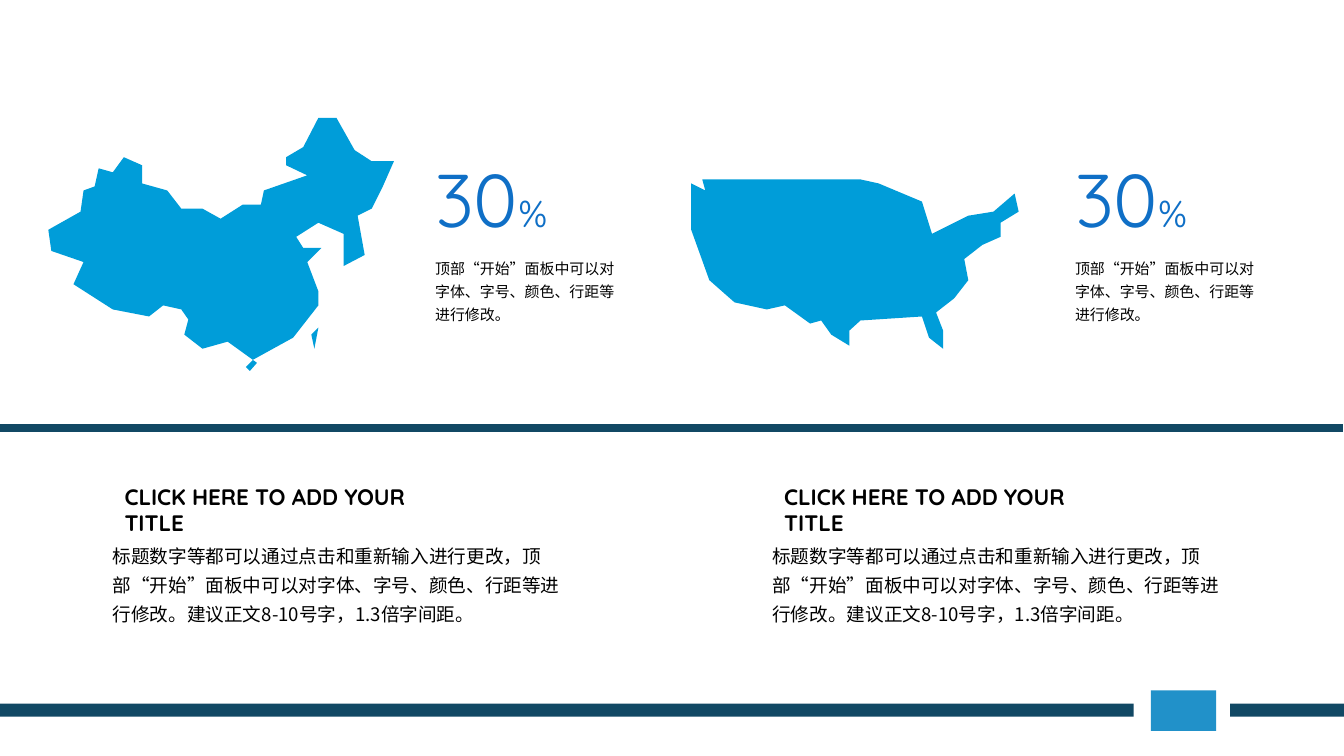
from lxml import etree
from pptx import Presentation
from pptx.dml.color import RGBColor
from pptx.enum.shapes import MSO_CONNECTOR, MSO_SHAPE
from pptx.enum.text import MSO_ANCHOR, MSO_AUTO_SIZE, PP_ALIGN
from pptx.oxml.ns import qn
from pptx.util import Cm, Pt

RECT = MSO_SHAPE.RECTANGLE
LINE = MSO_CONNECTOR.STRAIGHT
TOP = MSO_ANCHOR.TOP
LEFT = PP_ALIGN.LEFT
GROW = MSO_AUTO_SIZE.SHAPE_TO_FIT_TEXT

NAVY, BLUE, SKY, INK = "114864", "2191C9", "009DD9", "000000"
CJK, SANS = "Noto Sans CJK SC", "Quicksand"
NOTE = "顶部“开始”面板中可以对字体、字号、颜色、行距等进行修改。"
BODY = ("标题数字等都可以通过点击和重新输入进行更改，顶部“开始”面板中可以对"
        "字体、字号、颜色、行距等进行修改。建议正文8-10号字，1.3倍字间距。")

# Map outlines, in hundredths of an inch on the slide
UNIT = Cm(2.54) / 100
HAINAN = [(244, 364), (251, 357), (255, 360), (248, 368)]
TAIWAN = [(309, 332), (316, 325), (312, 346)]
MAIN = [
    (380, 185), (391, 160), (369, 160), (352, 149), (334, 117), (316, 117),
    (301, 146), (284, 156), (284, 164), (305, 174), (262, 189), (259, 203),
    (241, 203), (219, 217), (201, 207), (180, 207), (166, 189), (141, 182),
    (141, 164), (123, 156), (112, 171), (98, 167), (94, 185), (83, 189),
    (80, 210), (48, 228), (51, 249), (83, 260), (73, 282), (112, 307),
    (148, 314), (162, 303), (180, 307), (187, 317), (183, 332), (201, 346),
    (226, 339), (251, 357), (291, 335), (316, 303), (316, 289), (305, 260),
    (319, 246), (301, 246), (294, 235), (316, 221), (341, 232), (341, 264),
    (362, 253), (355, 214), (369, 207)]
STATES = [
    (761, 307), (779, 303), (804, 321), (815, 318), (825, 332), (843, 343),
    (843, 328), (854, 318), (915, 314), (922, 335), (936, 346), (936, 328),
    (929, 310), (947, 296), (961, 278), (957, 257), (975, 243), (993, 235),
    (993, 221), (1011, 210), (1007, 192), (986, 210), (961, 214), (925, 232),
    (915, 200), (872, 182), (854, 178), (697, 178), (700, 189), (686, 182),
    (686, 228), (704, 278), (729, 300)]


def paint(shape, color):
    """Give the shape a plain fill without outline or shadow."""
    shape.shadow.inherit = False
    shape.fill.solid()
    shape.fill.fore_color.rgb = RGBColor.from_string(color)
    shape.line.fill.background()


def write(shape, runs, color, font, space=None, bold=False):
    """Fill the shape with one paragraph of (text, size) runs."""
    frame = shape.text_frame
    frame.word_wrap = True
    frame.auto_size = GROW
    frame.vertical_anchor = TOP
    para = frame.paragraphs[0]
    para.alignment = LEFT
    para.line_spacing = space
    for text, size in runs:
        run = para.add_run()
        run.text = text
        run.font.size = Pt(size)
        run.font.bold = bold
        run.font.name = font
        run.font.color.rgb = RGBColor.from_string(color)
        east = etree.SubElement(run.font._element, qn("a:ea"))
        east.set("typeface", font)


deck = Presentation()
deck.slide_width, deck.slide_height = Cm(33.88), Cm(19.05)
slide = deck.slides.add_slide(deck.slide_layouts[6])
shapes = slide.shapes

# Footer
for x, y, wide, high, color in [(0, 17.73, 28.58, 0.33, NAVY),
                                (31.01, 17.73, 2.87, 0.33, NAVY),
                                (29.01, 17.4, 1.65, 1.02, BLUE)]:
    bar = shapes.add_shape(RECT, Cm(x), Cm(y), Cm(wide), Cm(high))
    paint(bar, color)

# Maps
china = shapes.add_group_shape().shapes
for home, points in [(china, HAINAN), (china, TAIWAN), (china, MAIN),
                     (shapes, STATES)]:
    pen = home.build_freeform(*points[0], scale=UNIT)
    pen.add_line_segments(points[1:], close=True)
    paint(pen.convert_to_shape(), SKY)

# Figures beside the maps
for x in (10.72, 26.85):
    group = shapes.add_group_shape().shapes
    figure = group.add_textbox(Cm(x), Cm(3.73), Cm(4.6), Cm(2.54))
    write(figure, [("30", 53.3), ("%", 26.7)], "0F6FC6", SANS)
    note = group.add_textbox(Cm(x), Cm(6.27), Cm(5.16), Cm(2.03))
    write(note, [(NOTE, 10.7)], INK, CJK, space=1.3)

# Divider
rule = shapes.add_connector(LINE, 0, Cm(10.78), Cm(33.86), Cm(10.78))
rule.line.color.rgb = RGBColor.from_string(NAVY)
rule.line.width = Pt(6)
etree.SubElement(rule._element.spPr, qn("a:effectLst"))

# Titled texts
for x in (2.59, 19.22):
    title = shapes.add_shape(RECT, Cm(x + 0.3), Cm(12.04), Cm(8.94), Cm(0.94))
    paint(title, "FFFFFF")
    write(title, [("CLICK HERE TO ADD YOUR TITLE", 16)], INK, SANS, bold=True)
    body = shapes.add_textbox(Cm(x), Cm(13.44), Cm(11.96), Cm(2.49))
    write(body, [(BODY, 13.3)], INK, CJK, space=1.3)

deck.save("out.pptx")
